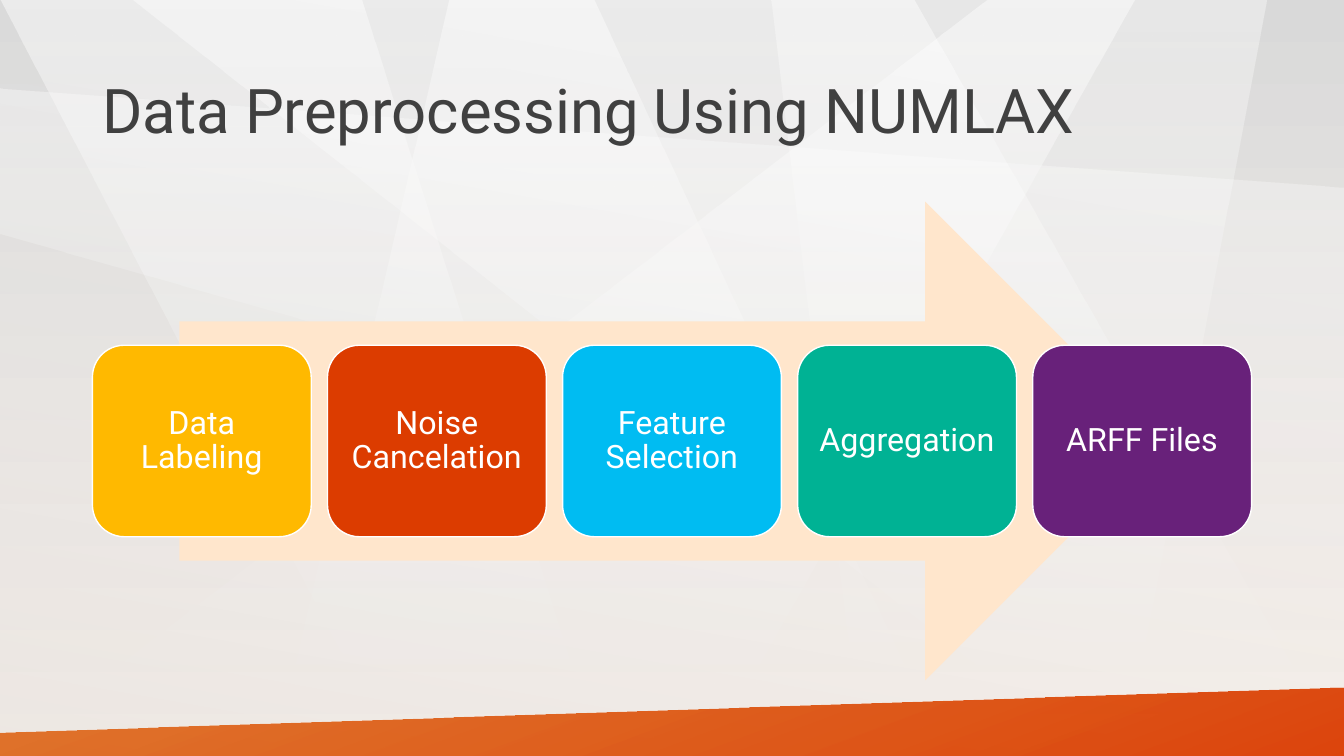
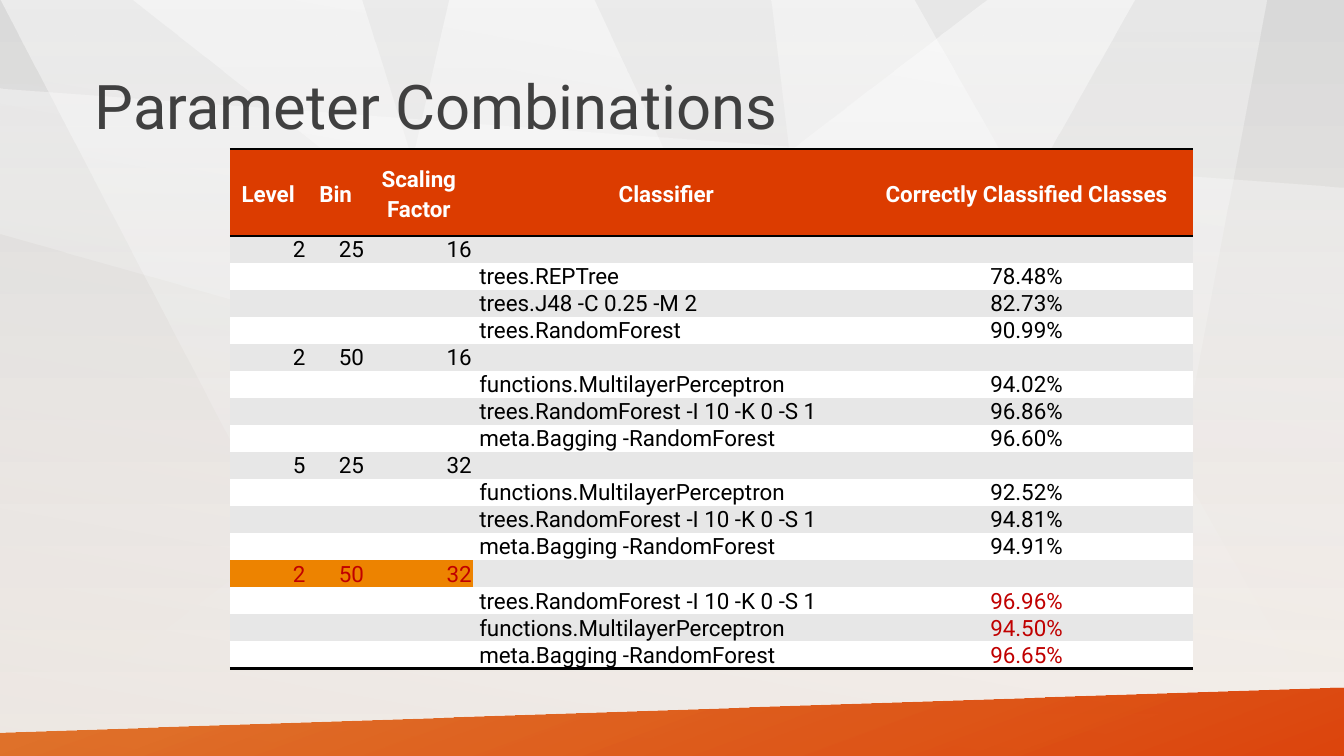
from collections import namedtuple
from dataclasses import dataclass

from lxml import etree
from pptx import Presentation
from pptx.dml.color import RGBColor
from pptx.enum.shapes import MSO_SHAPE
from pptx.enum.text import MSO_ANCHOR, PP_ALIGN
from pptx.oxml.ns import qn
from pptx.util import Pt

RECTANGLE, ROUNDED, ARROW = MSO_SHAPE.RECTANGLE, MSO_SHAPE.ROUNDED_RECTANGLE, MSO_SHAPE.RIGHT_ARROW
LEFT, CENTER, RIGHT = PP_ALIGN.LEFT, PP_ALIGN.CENTER, PP_ALIGN.RIGHT
MIDDLE, BOTTOM = MSO_ANCHOR.MIDDLE, MSO_ANCHOR.BOTTOM
NO_TABLE_STYLE = "{2D5ABB26-0587-4C30-8999-92F81FD0307C}"

Box = namedtuple("Box", "left top width height")
Gradient = namedtuple("Gradient", "stops angle")  # stops: (colour, opacity in percent)


@dataclass(frozen=True)
class Theme:
    font: str = "Roboto"
    title_size: int = 44
    step_size: int = 23
    table_size: int = 16
    title: str = "404040"
    white: str = "FFFFFF"
    black: str = "000000"
    red: str = "DC3C00"
    arrow: str = "FFE6CC"
    band: str = "E7E7E7"
    highlight: str = "ED8300"
    best: str = "C00000"
    steps: tuple = ("FFB900", "DC3C00", "00BCF2", "00B294", "68217A")
    page: Gradient = Gradient((("D9D9D9", 50), ("FCF5EF", 100)), 90)
    strong_ray: Gradient = Gradient((("FFFFFF", 50), ("FFFFFF", 0)), 90)
    soft_ray: Gradient = Gradient((("FFFFFF", 40), ("FFFFFF", 0)), 90)
    veil: Gradient = Gradient((("BFBFBF", 25), ("FFFFFF", 0)), 280)
    footer: Gradient = Gradient((("DD5900", 80), ("DC3C00", 95)), 70)


THEME = Theme()
PAGE = Box(0, 0, 960, 540)

RAYS = (
    (THEME.strong_ray, ((705, 0), (0, 540), (505, 540), (810, 0))),
    (THEME.strong_ray, ((0, 0), (258, 0), (428, 540), (282, 540))),
    (THEME.strong_ray, ((95, 0), (653, 0), (960, 540), (780, 540))),
    (THEME.soft_ray, ((551, 0), (616, 540), (803, 540), (905, 0))),
    (THEME.strong_ray, ((424, 0), (321, 0), (196, 540), (676, 540))),
    (THEME.soft_ray, ((0, 63), (960, 134), (960, 439), (0, 167))),
)
FOOTER = ((0, 523), (960, 491), (960, 540), (0, 540))

STEPS = ("Data Labeling", "Noise Cancelation", "Feature Selection", "Aggregation", "ARFF Files")

HEADINGS = ("Level", "Bin", "Scaling Factor", "Classifier", "Correctly Classified Classes")
COLUMN_WIDTHS = (54.7, 41.8, 77, 276.6, 238)
PERCEPTRON = "functions.MultilayerPerceptron"
FOREST = "trees.RandomForest -I 10 -K 0 -S 1"
BAGGING = "meta.Bagging -RandomForest"
# Parameters, then the classifiers with their scores
COMBINATIONS = (
    (("2", "25", "16"), (("trees.REPTree", "78.48%"), ("trees.J48 -C 0.25 -M 2", "82.73%"),
                         ("trees.RandomForest", "90.99%"))),
    (("2", "50", "16"), ((PERCEPTRON, "94.02%"), (FOREST, "96.86%"), (BAGGING, "96.60%"))),
    (("5", "25", "32"), ((PERCEPTRON, "92.52%"), (FOREST, "94.81%"), (BAGGING, "94.91%"))),
    (("2", "50", "32"), ((FOREST, "96.96%"), (PERCEPTRON, "94.50%"), (BAGGING, "96.65%"))),
)


def points(box):
    return [Pt(length) for length in box]


def fill_solid(fill, color):
    fill.solid()
    fill.fore_color.rgb = RGBColor.from_string(color)


def fill_gradient(owner, fill, gradient):
    fill.gradient()
    fill.gradient_angle = 360 - gradient.angle
    for stop, (color, opacity) in zip(fill.gradient_stops, gradient.stops):
        stop.color.rgb = RGBColor.from_string(color)
    for color_element, (color, opacity) in zip(owner.element.iter(qn("a:srgbClr")), gradient.stops):
        if opacity < 100:
            etree.SubElement(color_element, qn("a:alpha"), val=str(opacity * 1000))


def write(frame, text, size, color, align=LEFT, spacing=1.0, bold=False):
    frame.word_wrap = True
    frame.text = text
    para = frame.paragraphs[0]
    para.alignment, para.line_spacing = align, spacing
    for span in para.runs:
        span.font.name, span.font.size, span.font.bold = THEME.font, Pt(size), bold
        span.font.color.rgb = RGBColor.from_string(color)


def add_block(page, kind, box, color, outline=None):
    block = page.shapes.add_shape(kind, *points(box))
    block.shadow.inherit = False
    fill_solid(block.fill, color)
    if outline:
        block.line.color.rgb = RGBColor.from_string(outline)
        block.line.width = Pt(1)
    else:
        block.line.fill.background()
    return block


def add_polygon(page, corners, gradient):
    builder = page.shapes.build_freeform(*corners[0], scale=Pt(1))
    builder.add_line_segments(corners[1:], close=True)
    polygon = builder.convert_to_shape()
    polygon.shadow.inherit = False
    polygon.line.fill.background()
    fill_gradient(polygon, polygon.fill, gradient)


def add_page(deck, title, title_box):
    page = deck.slides.add_slide(deck.slide_layouts[6])
    # Backdrop: rays of light under a grey veil
    fill_gradient(page, page.background.fill, THEME.page)
    for gradient, corners in RAYS:
        add_polygon(page, corners, gradient)
    veil = add_block(page, RECTANGLE, PAGE, THEME.white)
    fill_gradient(veil, veil.fill, THEME.veil)
    # Slanted footer band
    add_polygon(page, FOOTER, THEME.footer)
    # Title
    frame = page.shapes.add_textbox(*points(title_box)).text_frame
    frame.vertical_anchor = MIDDLE
    write(frame, title, THEME.title_size, THEME.title, spacing=0.9)
    return page


def add_process(page, box, gap=11.6):
    # Arrow behind the steps
    inset = box.width * 0.075
    add_block(page, ARROW, Box(box.left + inset, box.top, box.width - 2 * inset, box.height), THEME.arrow)
    # Equal steps across the full width
    width = (box.width - gap * (len(STEPS) - 1)) / len(STEPS)
    for index, (label, color) in enumerate(zip(STEPS, THEME.steps)):
        step_box = Box(box.left + index * (width + gap), box.top + box.height * 0.3, width, box.height * 0.4)
        frame = add_block(page, ROUNDED, step_box, color, THEME.white).text_frame
        frame.margin_left = frame.margin_right = frame.margin_top = frame.margin_bottom = Pt(7.2)
        frame.vertical_anchor = MIDDLE
        write(frame, label, THEME.step_size, THEME.white, CENTER, 0.9)


def add_rules(cell, sides):
    properties = cell._tc.get_or_add_tcPr()
    for position, side in enumerate(sides):
        rule = etree.Element(qn(f"a:ln{side}"), w=str(Pt(2)))
        solid = etree.SubElement(rule, qn("a:solidFill"))
        etree.SubElement(solid, qn("a:srgbClr"), val=THEME.black)
        properties.insert(position, rule)


def fill_cell(cell, text, color, background, align, left=0.7, side=0.7, anchor=BOTTOM, **style):
    cell.margin_left, cell.margin_right = Pt(left), Pt(side)
    cell.margin_top = cell.margin_bottom = Pt(0)
    cell.vertical_anchor = anchor
    fill_solid(cell.fill, background)
    write(cell.text_frame, text, THEME.table_size, color, align, **style)
    if not text:  # keeps an empty cell from stretching its row
        etree.SubElement(cell.text_frame.paragraphs[0]._p, qn("a:endParaRPr"), sz=str(THEME.table_size * 100))


def list_rows():
    """Yield the five texts of each row and whether its combination is the best one."""
    for parameters, results in COMBINATIONS:
        best = parameters == COMBINATIONS[-1][0]
        yield (*parameters, "", ""), best
        for classifier, score in results:
            yield ("", "", "", classifier, score), best


def add_results(page, box, header_height=62):
    rows = list(list_rows())
    table = page.shapes.add_table(len(rows) + 1, len(HEADINGS), *points(box)).table
    table.first_row = table.horz_banding = False
    table._tbl.find(".//" + qn("a:tableStyleId")).text = NO_TABLE_STYLE
    for column, width in zip(table.columns, COLUMN_WIDTHS):
        column.width = Pt(width)
    for row in table.rows:
        row.height = Pt((box.height - header_height) / len(rows))
    table.rows[0].height = Pt(header_height)
    # Header row
    for column, heading in enumerate(HEADINGS):
        cell = table.cell(0, column)
        fill_cell(cell, heading, THEME.white, THEME.red, CENTER, 5, 5, MIDDLE, spacing=1.15, bold=True)
        add_rules(cell, "TB")
    # Banded result rows
    aligns = (RIGHT, RIGHT, RIGHT, LEFT, CENTER)
    for number, (texts, best) in enumerate(rows, start=1):
        for column, text in enumerate(texts):
            background = THEME.band if number % 2 else THEME.white
            if best and text and column < 3:
                background = THEME.highlight
            color = THEME.best if best and column != 3 else THEME.black
            cell = table.cell(number, column)
            fill_cell(cell, text, color, background, aligns[column], left=4.7 if column == 3 else 0.7)
            if number == len(rows):
                add_rules(cell, "B")


def main():
    deck = Presentation()
    deck.slide_width, deck.slide_height = Pt(PAGE.width), Pt(PAGE.height)
    page = add_page(deck, "Data Preprocessing Using NUMLAX", Box(66, 29, 828, 104))
    add_process(page, Box(66, 144, 828, 342))
    page = add_page(deck, "Parameter Combinations", Box(60.5, 24, 833, 109))
    add_results(page, Box(164.2, 106.6, sum(COLUMN_WIDTHS), 371))
    deck.save("out.pptx")


if __name__ == "__main__":
    main()
